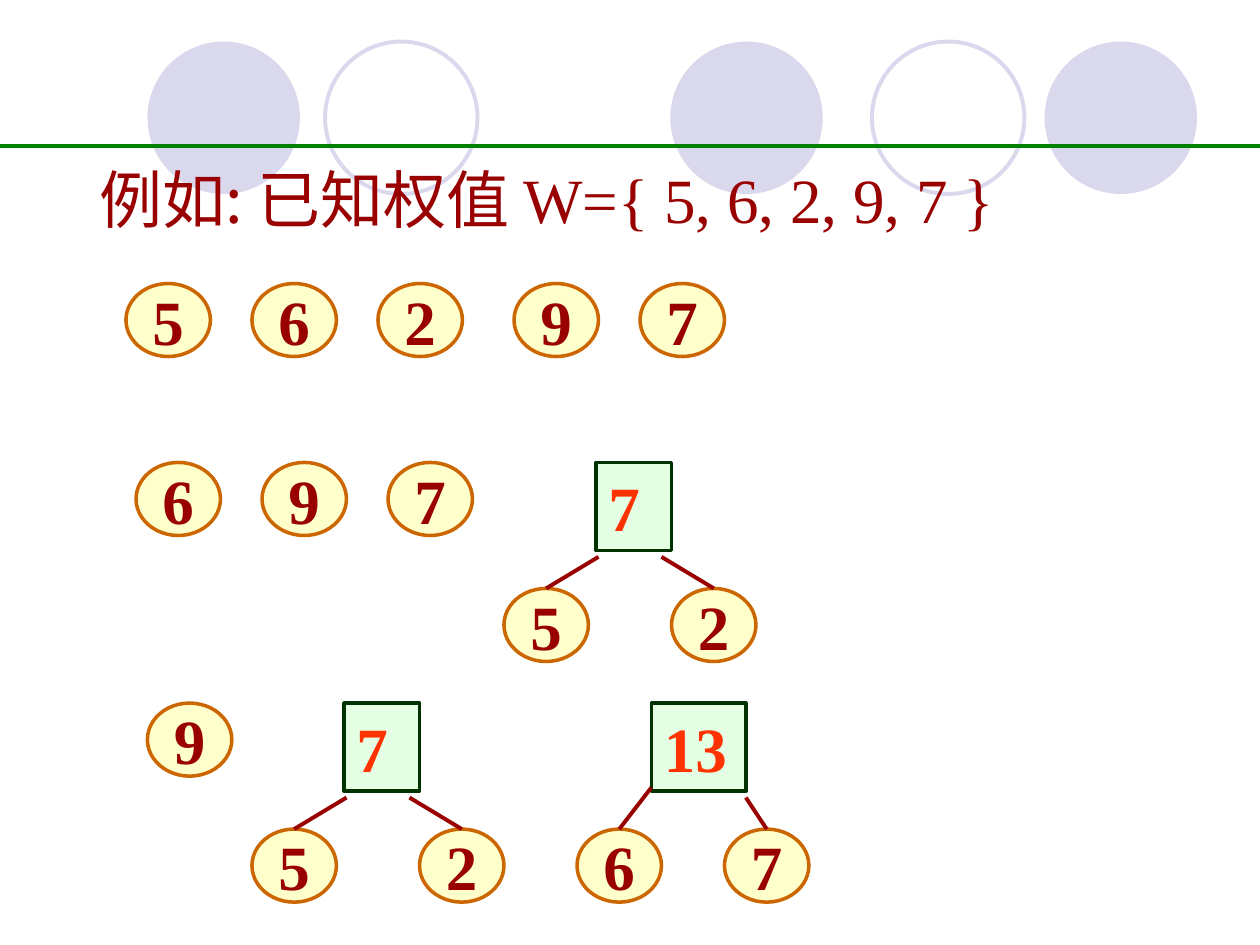
from lxml import etree
from pptx import Presentation
from pptx.dml.color import RGBColor
from pptx.enum.shapes import MSO_CONNECTOR, MSO_SHAPE
from pptx.enum.text import MSO_ANCHOR, PP_ALIGN
from pptx.oxml.ns import qn
from pptx.util import Inches, Pt

OVAL, RECTANGLE = MSO_SHAPE.OVAL, MSO_SHAPE.RECTANGLE
STRAIGHT = MSO_CONNECTOR.STRAIGHT
TOP, MIDDLE = MSO_ANCHOR.TOP, MSO_ANCHOR.MIDDLE
LEFT, CENTER = PP_ALIGN.LEFT, PP_ALIGN.CENTER

# Content: positions in inches
TITLE_RUNS = [("例如: 已知权值 ", "Noto Sans CJK SC"),
              ("W={ 5, 6, 2, 9, 7 }", "Times New Roman")]
FILLED_CIRCLES = [1.17, 5.32, 8.29]
OUTLINED_CIRCLES = [2.58, 6.92]
# Rows of single nodes: top, [(weight, left)]
FOREST_ROWS = [
    (2.25, [("5", 1), ("6", 2), ("2", 3), ("9", 4.08), ("7", 5.08)]),
    (3.67, [("6", 1.08), ("9", 2.08), ("7", 3.08)]),
    (5.58, [("9", 1.17)]),
]
# Trees: sum, left, top, width, [(weight, child left, branch start x, branch start y below top)]
TREES = [
    ("7", 4.73, 3.67, 0.6, [("5", 4, 4.75, 0.75), ("2", 5.33, 5.25, 0.75)]),
    ("7", 2.73, 5.58, 0.6, [("5", 2, 2.75, 0.75), ("2", 3.33, 3.25, 0.75)]),
    ("13", 5.17, 5.58, 0.75, [("6", 4.58, 5.17, 0.67), ("7", 5.75, 5.92, 0.75)]),
]

NODE_WIDTH, NODE_HEIGHT = 0.67, 0.58
ROOT_HEIGHT, LEVEL_GAP = 0.7, 1
CIRCLE_TOP, CIRCLE_SIZE = 0.33, 1.21
PALE, DARK_RED = "D9D8EC", "990000"


def color(value):
    return RGBColor.from_string(value)


def add_shape(kind, left, top, width, height, fill=None, line=None, line_width=2, opacity=None):
    shape = slide.shapes.add_shape(kind, Inches(left), Inches(top), Inches(width), Inches(height))
    shape.shadow.inherit = False
    if fill:
        shape.fill.solid()
        shape.fill.fore_color.rgb = color(fill)
        if opacity:
            rgb = shape._element.spPr.find(qn("a:solidFill"))[0]
            etree.SubElement(rgb, qn("a:alpha")).set("val", str(opacity * 1000))
    else:
        shape.fill.background()
    if line:
        shape.line.color.rgb = color(line)
        shape.line.width = Pt(line_width)
    else:
        shape.line.fill.background()
    return shape


def write_weight(shape, text, text_color, anchor, alignment, wrap):
    frame = shape.text_frame
    frame.word_wrap = wrap
    frame.vertical_anchor = anchor
    paragraph = frame.paragraphs[0]
    paragraph.text = text
    paragraph.alignment = alignment
    font = paragraph.font
    font.name, font.size, font.bold = "Times New Roman", Pt(36), True
    font.color.rgb = color(text_color)


def add_node(weight, left, top):
    node = add_shape(OVAL, left, top, NODE_WIDTH, NODE_HEIGHT, "FFFF99", "CC6600", opacity=50)
    write_weight(node, weight, DARK_RED, MIDDLE, CENTER, False)


def add_root(total, left, top, width):
    root = add_shape(RECTANGLE, left, top, width, ROOT_HEIGHT, "CCFFCC", "003300", opacity=50)
    write_weight(root, total, "FF3300", TOP, LEFT, True)


def add_line(x1, y1, x2, y2, line_color, width):
    line = slide.shapes.add_connector(STRAIGHT, Inches(x1), Inches(y1), Inches(x2), Inches(y2))
    line.line.color.rgb = color(line_color)
    line.line.width = Pt(width)
    etree.SubElement(line._element.spPr, qn("a:effectLst"))


presentation = Presentation()
presentation.slide_width, presentation.slide_height = Inches(10), Inches(7.5)
slide = presentation.slides.add_slide(presentation.slide_layouts[5])

# Header decoration
for left in FILLED_CIRCLES:
    add_shape(OVAL, left, CIRCLE_TOP, CIRCLE_SIZE, CIRCLE_SIZE, fill=PALE)
for left in OUTLINED_CIRCLES:
    add_shape(OVAL, left, CIRCLE_TOP, CIRCLE_SIZE, CIRCLE_SIZE, line=PALE, line_width=2.25)
add_line(0, 1.16, 10, 1.16, "008000", 2.5)

# Title, raised above the decoration
title = slide.shapes.title
slide.shapes._spTree.append(title._element)
title.left, title.top, title.width, title.height = map(Inches, (0.69, 1.22, 8.14, 0.7))
title.text_frame.vertical_anchor = TOP
title.text_frame.word_wrap = True
paragraph = title.text_frame.paragraphs[0]
paragraph.alignment = LEFT
paragraph.font.size = Pt(36)
paragraph.font.color.rgb = color(DARK_RED)
for text, font_name in TITLE_RUNS:
    run = paragraph.add_run()
    run.text = text
    run.font.name = font_name
    etree.SubElement(run.font._element, qn("a:ea")).set("typeface", font_name)

# Single nodes
for top, nodes in FOREST_ROWS:
    for weight, left in nodes:
        add_node(weight, left, top)

# Merged trees
for total, left, top, width, children in TREES:
    child_top = top + LEVEL_GAP
    add_root(total, left, top, width)
    for weight, child_left, start_x, drop in children:
        add_node(weight, child_left, child_top)
        add_line(start_x, top + drop, child_left + NODE_WIDTH / 2, child_top, DARK_RED, 2.25)

presentation.save("out.pptx")
